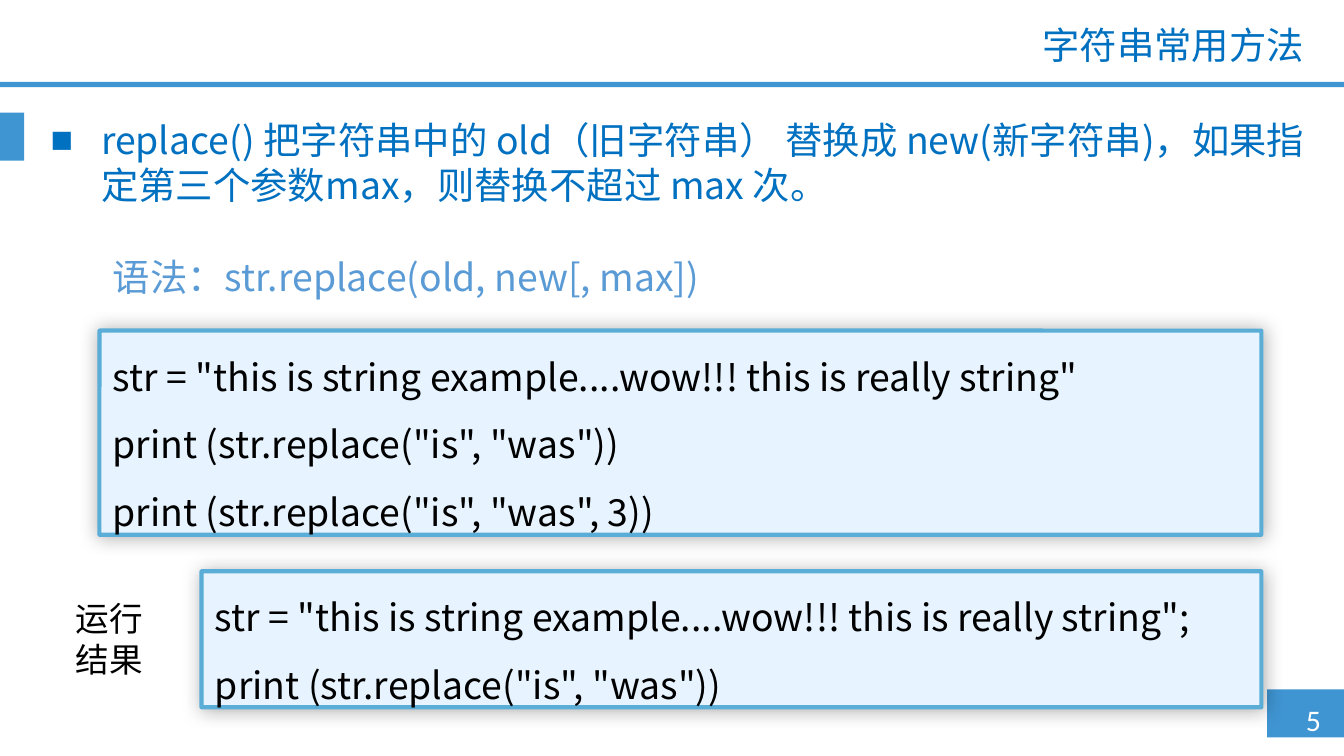
from lxml.etree import SubElement
from pptx import Presentation
from pptx.dml.color import RGBColor
from pptx.enum.shapes import MSO_SHAPE as Shape
from pptx.enum.text import MSO_ANCHOR as Anchor, PP_ALIGN as Align
from pptx.oxml.ns import qn
from pptx.util import Cm, Pt

COLORS = {"band": "3F95D2", "title": "0070C0", "syntax": "5B9BD5", "panel": "E7F4FF",
          "border": "5AADD6", "black": "000000", "white": "FFFFFF"}
CJK = "Noto Sans CJK SC"
CODE_RIGHT = 23.84

CODE = ['str = "this is string example....wow!!! this is really string"',
        'print (str.replace("is", "was"))',
        'print (str.replace("is", "was", 3))']
RESULT = [CODE[0] + ";", CODE[1]]


def rgb(name):
    return RGBColor.from_string(COLORS[name])


def write(frame, *lines, color="black", size=20, font=CJK, align=Align.LEFT,
          anchor=Anchor.TOP, spacing=None, hanging=0, bullet=None, inset=0.13):
    frame.word_wrap = True
    frame.vertical_anchor = anchor
    frame.margin_left = frame.margin_right = Cm(0.25)
    frame.margin_top = frame.margin_bottom = Cm(inset)
    for index, line in enumerate(lines):
        paragraph = frame.add_paragraph() if index else frame.paragraphs[0]
        paragraph.alignment = align
        paragraph.space_before = Pt(0)
        if spacing:
            paragraph.line_spacing = spacing
        properties = paragraph._p.get_or_add_pPr()
        if hanging:
            properties.set("marL", str(Cm(hanging)))
            properties.set("indent", str(-Cm(hanging)))
        if bullet:
            SubElement(properties, qn("a:buFont"), typeface="Arial")
            SubElement(properties, qn("a:buChar"), char=bullet)
        run = paragraph.add_run()
        run.text = line
        run.font.size = Pt(size)
        run.font.color.rgb = rgb(color)
        run.font.name = font
        SubElement(run.font._element, qn("a:ea"), typeface=CJK)


class SlideBuilder:
    def __init__(self, slide):
        self.slide = slide

    def title(self, text, left, top, width, height):
        title = self.slide.shapes.title
        title.left, title.top, title.width, title.height = map(Cm, (left, top, width, height))
        write(title.text_frame, text, color="title", font="Roboto", align=Align.RIGHT,
              anchor=Anchor.MIDDLE, spacing=0.9)

    def band(self, left, top, width, height):
        band = self.slide.shapes.add_shape(Shape.RECTANGLE, *map(Cm, (left, top, width, height)))
        band.shadow.inherit = False
        band.fill.solid()
        band.fill.fore_color.rgb = rgb("band")
        band.line.fill.background()

    def text(self, text, left, top, width, height, **style):
        box = self.slide.shapes.add_textbox(*map(Cm, (left, top, width, height)))
        write(box.text_frame, text, **style)

    def code_panel(self, lines, left, top, height):
        """Draw a softly shadowed code panel that ends at the shared right edge."""
        panel = self.slide.shapes.add_shape(
            Shape.ROUNDED_RECTANGLE, *map(Cm, (left, top, CODE_RIGHT - left, height)))
        panel.adjustments[0] = 0.003
        panel.fill.solid()
        panel.fill.fore_color.rgb = rgb("panel")
        panel.line.color.rgb = rgb("border")
        panel.line.width = Pt(2.25)
        panel.shadow.inherit = False
        effects = panel._element.spPr.find(qn("a:effectLst"))
        shadow = SubElement(effects, qn("a:outerShdw"), blurRad=str(Pt(10)), dist="0",
                            dir="0", algn="ctr", rotWithShape="0")
        shade = SubElement(shadow, qn("a:srgbClr"), val=COLORS["black"])
        SubElement(shade, qn("a:alpha"), val="30000")
        write(panel.text_frame, *lines, anchor=Anchor.MIDDLE, spacing=1.5, hanging=0.63, inset=0)


def main():
    deck = Presentation()
    deck.slide_width, deck.slide_height = Cm(25.4), Cm(14.29)
    page = SlideBuilder(deck.slides.add_slide(deck.slide_layouts[5]))

    page.band(23.95, 13.03, 1.45, 0.91)
    page.band(0, 1.55, 25.4, 0.1)
    page.band(0, 2.13, 0.46, 0.91)
    page.text("5", 24.43, 13.13, 1.32, 0.94, color="white", size=16, font="Calibri")
    page.title("字符串常用方法", 6.1, 0.38, 18.8, 1.02)

    page.code_panel(CODE, 1.88, 6.25, 3.86)
    page.text("replace() 把字符串中的 old（旧字符串） 替换成 new(新字符串)，"
              "如果指定第三个参数max，则替换不超过 max 次。",
              0.71, 2.08, 24.21, 1.96, color="title", hanging=0.95, bullet="■")
    page.text("语法：str.replace(old, new[, max])", 1.88, 4.67, 15.98, 1.12, color="syntax")
    page.code_panel(RESULT, 3.81, 10.8, 2.57)
    page.text("运行结果", 1.04, 11.18, 2.06, 1.8, size=18, font="Arial", align=Align.CENTER)

    deck.save("out.pptx")


if __name__ == "__main__":
    main()
